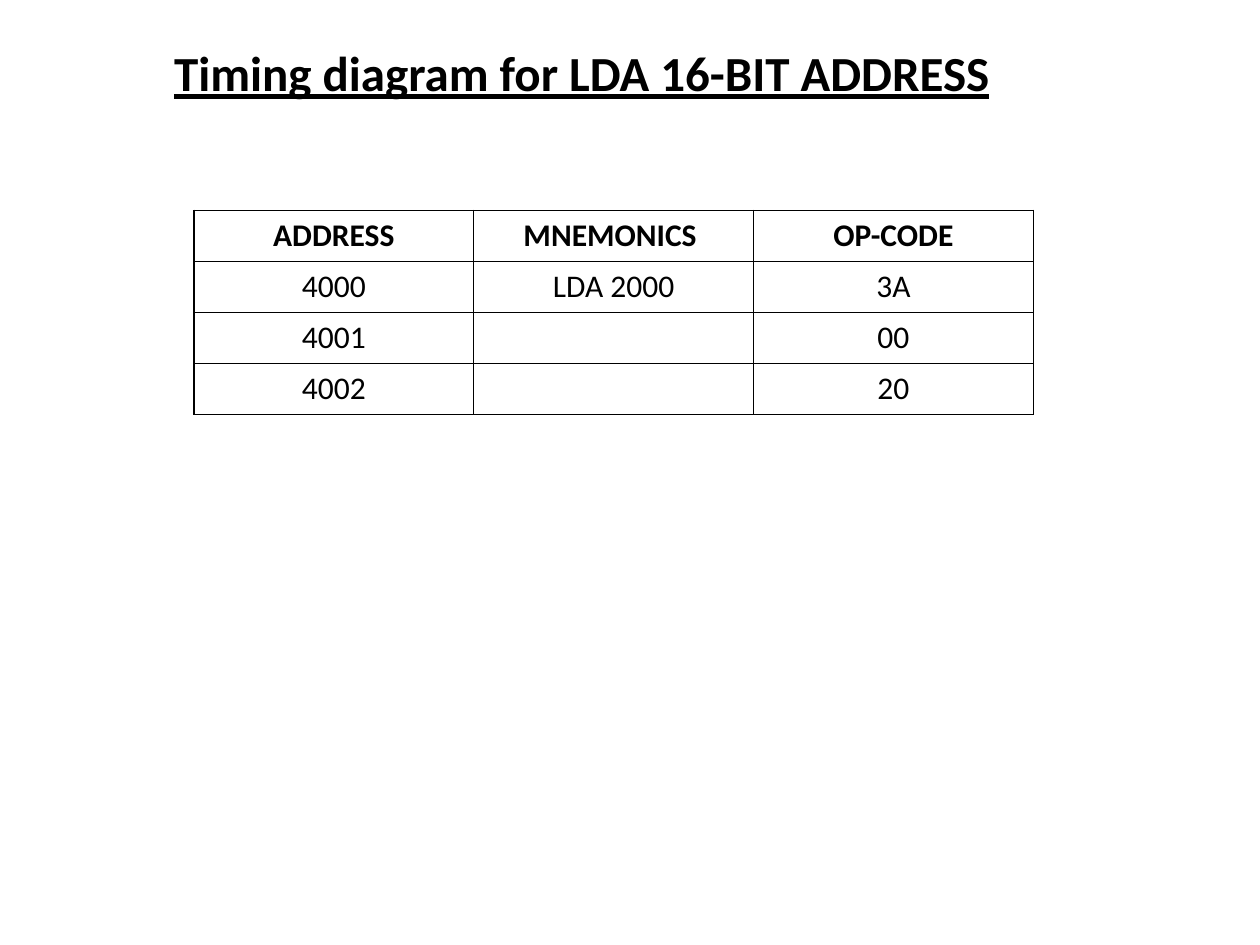
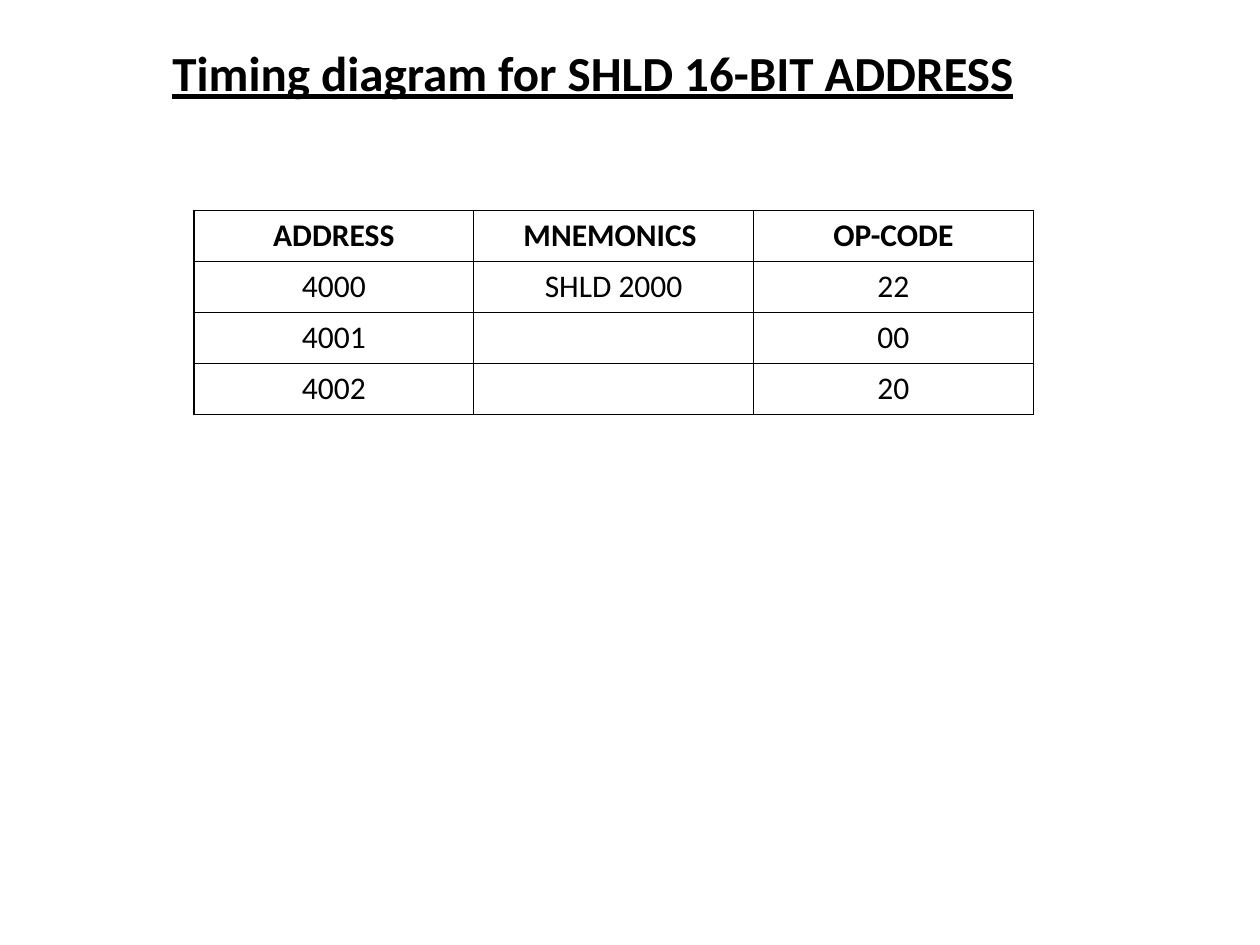
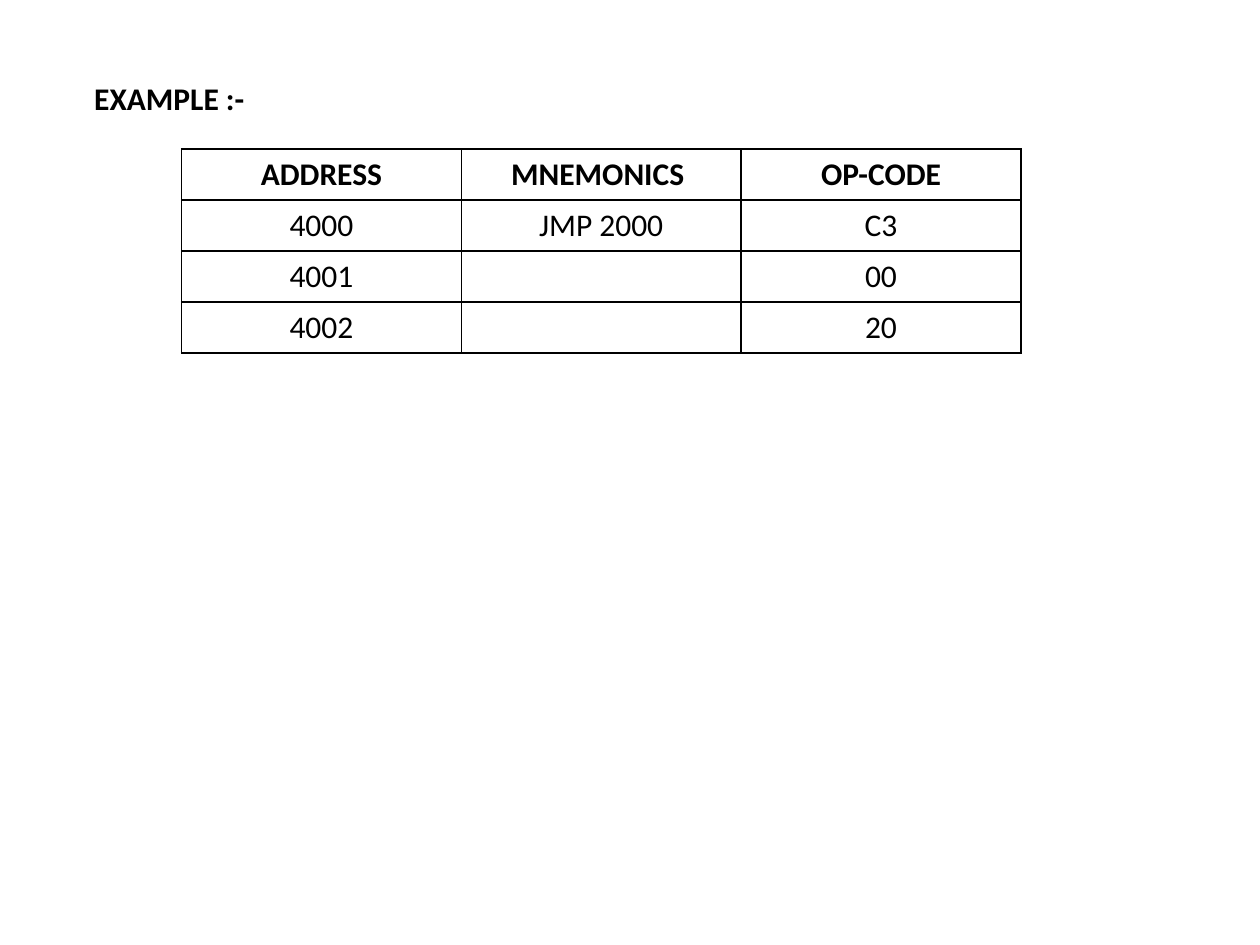
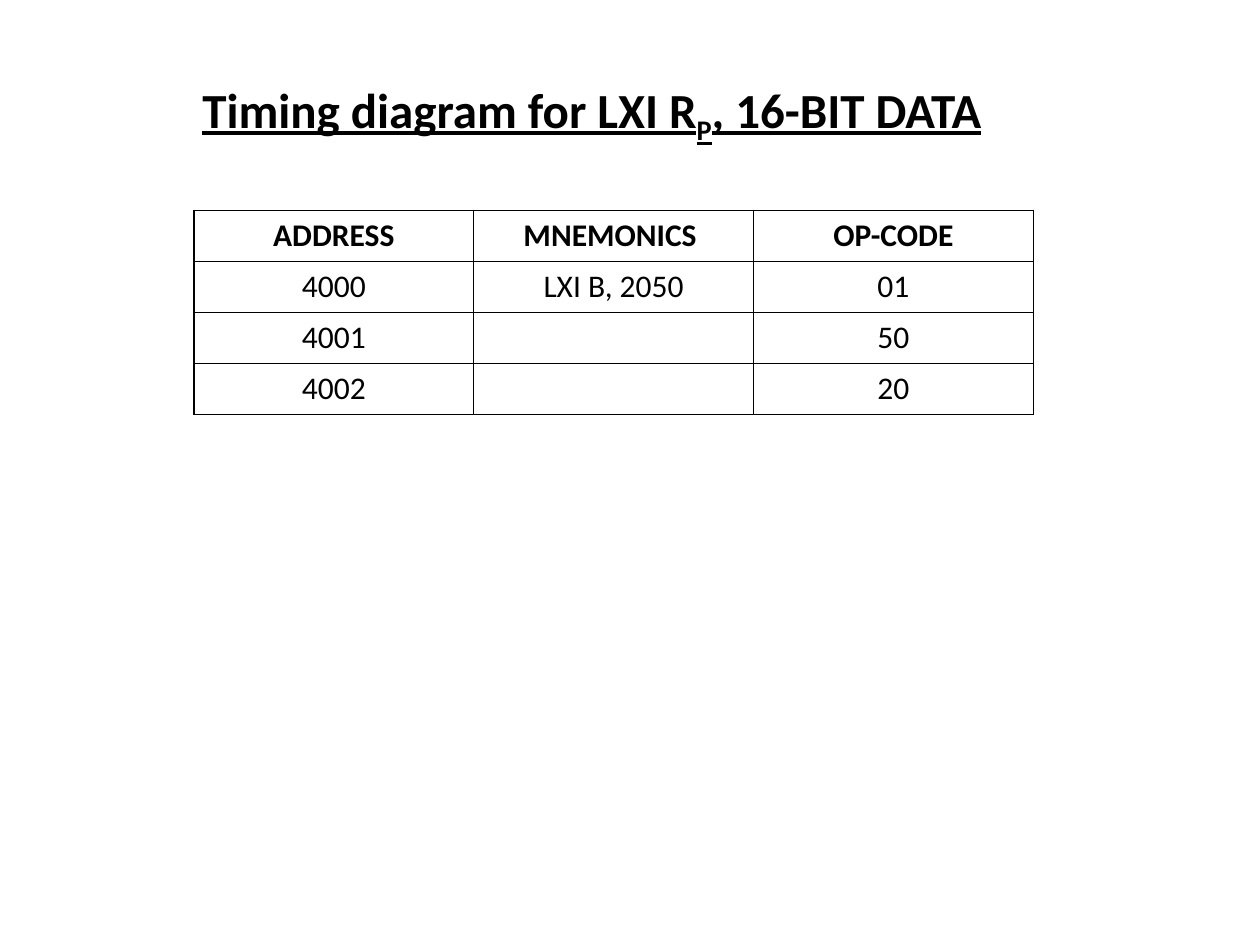
from pptx import Presentation
from pptx.dml.color import RGBColor
from pptx.enum.text import MSO_AUTO_SIZE, PP_ALIGN
from pptx.oxml import parse_xml
from pptx.oxml.ns import nsdecls
from pptx.util import Cm, Pt

COLORS = {"background": "FFFFFF", "text": "000000", "border": "000000"}
FONT = "Calibri"
TITLE_SIZE, BODY_SIZE = 28, 18
BORDER_WIDTH = 1
COLUMN_WIDTH, ROW_HEIGHT = 5.64, 1.03
HEADERS = ["ADDRESS", "MNEMONICS ", "OP-CODE"]
FIRST_ADDRESS = 4000
TABLE_POSITION = (3.91, 4.24)


class Deck:
    def __init__(self):
        self.presentation = Presentation()
        self.presentation.slide_width = Cm(25.4)
        self.presentation.slide_height = Cm(19.05)
        self.slide = None

    def add_slide(self):
        self.slide = self.presentation.slides.add_slide(self.presentation.slide_layouts[6])
        fill = self.slide.background.fill
        fill.solid()
        fill.fore_color.rgb = RGBColor.from_string(COLORS["background"])

    def add_run(self, paragraph, text, size=BODY_SIZE, bold=False, underline=None):
        run = paragraph.add_run()
        run.text = text
        run.font.name = FONT
        run.font.size = Pt(size)
        run.font.bold = bold
        run.font.underline = underline
        run.font.color.rgb = RGBColor.from_string(COLORS["text"])
        return run

    def add_text_box(self, left, top, width, height, wrap):
        """Add an empty text box and return its first paragraph."""
        shape = self.slide.shapes.add_textbox(Cm(left), Cm(top), Cm(width), Cm(height))
        shape.text_frame.word_wrap = wrap
        shape.text_frame.auto_size = MSO_AUTO_SIZE.SHAPE_TO_FIT_TEXT
        return shape.text_frame.paragraphs[0]

    def add_title(self, left, top, width, start, subscript="", end=""):
        paragraph = self.add_text_box(left, top, width, 1.45, wrap=False)
        paragraph.alignment = PP_ALIGN.CENTER
        for text in filter(None, (start, subscript, end)):
            run = self.add_run(paragraph, text, TITLE_SIZE, bold=True, underline=True)
            if text == subscript:
                run.font._element.set("baseline", "-25000")

    def add_label(self, left, top, width, text):
        paragraph = self.add_text_box(left, top, width, 1.02, wrap=True)
        self.add_run(paragraph, text, bold=True)

    def add_borders(self, cell):
        properties = cell._tc.get_or_add_tcPr()
        for index, side in enumerate(("lnL", "lnR", "lnT", "lnB")):
            properties.insert(index, parse_xml(
                f'<a:{side} {nsdecls("a")} w="{Pt(BORDER_WIDTH)}"><a:solidFill>'
                f'<a:srgbClr val="{COLORS["border"]}"/></a:solidFill></a:{side}>'))

    def add_program_table(self, mnemonic, op_codes, position=TABLE_POSITION):
        """List an instruction's bytes at consecutive addresses."""
        rows = [HEADERS]
        for offset, op_code in enumerate(op_codes):
            rows.append([str(FIRST_ADDRESS + offset), "" if offset else mnemonic, op_code])
        left, top = position
        table = self.slide.shapes.add_table(
            len(rows), len(HEADERS), Cm(left), Cm(top),
            Cm(COLUMN_WIDTH * len(HEADERS)), Cm(ROW_HEIGHT * len(rows))).table
        table.first_row = table.horz_banding = False
        for column in table.columns:
            column.width = Cm(COLUMN_WIDTH)
        for row_index, values in enumerate(rows):
            table.rows[row_index].height = Cm(ROW_HEIGHT)
            for column_index, text in enumerate(values):
                cell = table.cell(row_index, column_index)
                cell.fill.background()
                self.add_borders(cell)
                paragraph = cell.text_frame.paragraphs[0]
                paragraph.alignment = PP_ALIGN.CENTER
                if text:
                    self.add_run(paragraph, text, bold=row_index == 0)


def main():
    deck = Deck()

    deck.add_slide()
    deck.add_title(3.15, 0.74, 17.15, "Timing diagram for LDA 16-BIT ADDRESS")
    deck.add_program_table("LDA 2000", ["3A", "00", "20"])

    deck.add_slide()
    deck.add_title(3.15, 0.74, 17.6, "Timing diagram for SHLD 16-BIT ADDRESS")
    deck.add_program_table("SHLD 2000", ["22", "00", "20"])

    deck.add_slide()
    deck.add_program_table("JMP 2000", ["C3", "00", "20"], position=(3.66, 3))
    deck.add_label(1.65, 1.47, 4.78, "EXAMPLE :-")

    deck.add_slide()
    deck.add_title(3.66, 1.47, 16.54, "Timing diagram for LXI R", "P", ", 16-BIT DATA")
    deck.add_program_table("LXI B, 2050", ["01", "50", "20"])

    deck.presentation.save("out.pptx")


if __name__ == "__main__":
    main()
